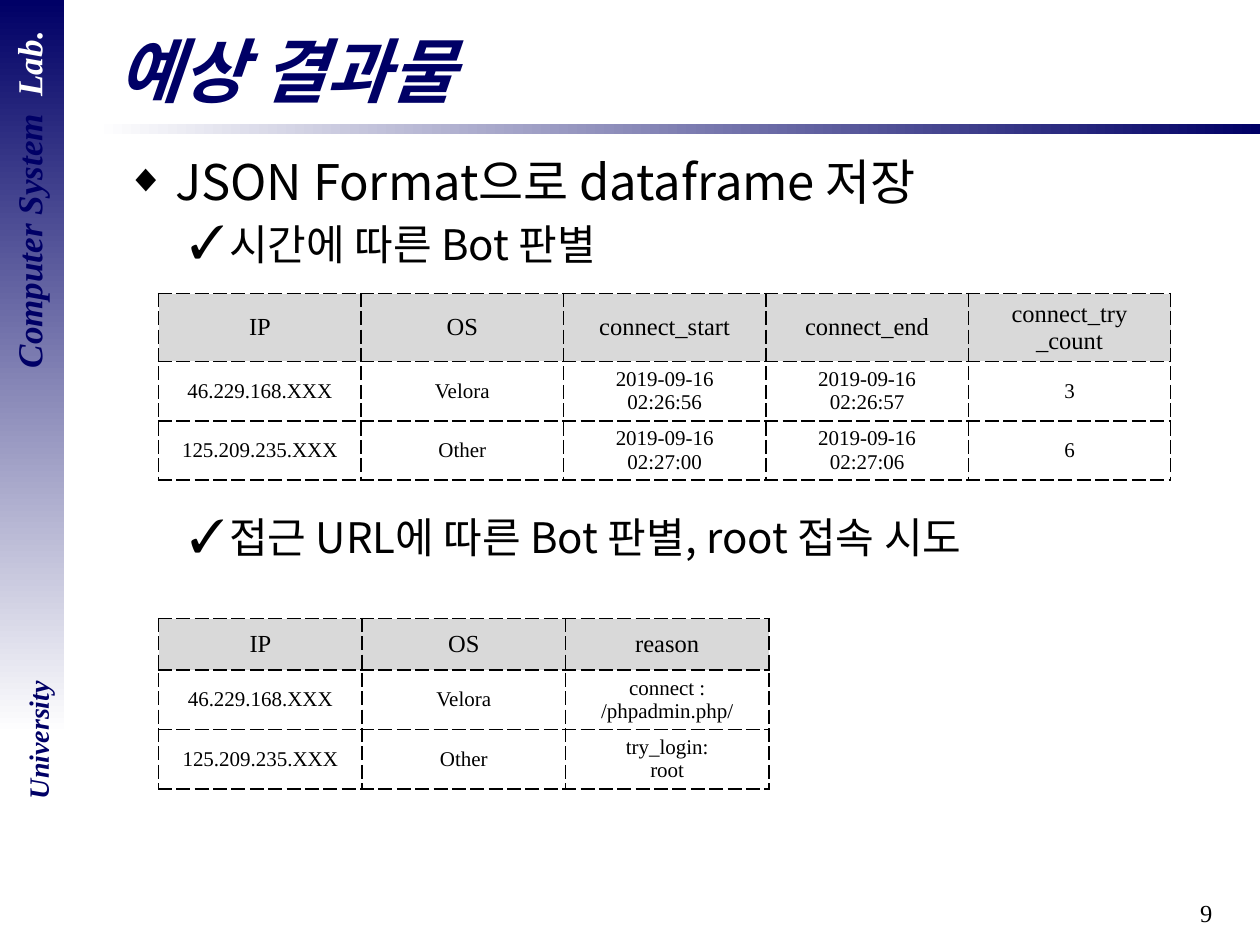
from pptx import Presentation
from pptx.dml.color import RGBColor
from pptx.enum.shapes import MSO_SHAPE
from pptx.enum.text import MSO_ANCHOR, PP_ALIGN
from pptx.oxml import parse_xml
from pptx.oxml.ns import nsdecls
from pptx.util import Cm, Pt
from lxml.etree import SubElement

# Content
TITLE = "예상 결과물"
PAGE = "9"
LAB = [("Computer System  ", "navy"), ("Lab.", "white")]
SCHOOL = "University"
POINTS = [  # text, level, space before in points
    ("JSON Format으로 dataframe 저장", 0, 5.6),
    ("시간에 따른 Bot 판별", 1, 4.8),
    ("접근 URL에 따른 Bot 판별, root 접속 시도", 1, 139),
]
TABLES = [  # top and width in cm, rows
    (5.92, 20.4, [
        ["IP", "OS", "connect_start", "connect_end", "connect_try _count"],
        ["46.229.168.XXX", "Velora", "2019-09-16 02:26:56", "2019-09-16 02:26:57", "3"],
        ["125.209.235.XXX", "Other", "2019-09-16 02:27:00", "2019-09-16 02:27:06", "6"],
    ]),
    (12.47, 12.3, [
        ["IP", "OS", "reason"],
        ["46.229.168.XXX", "Velora", "connect : /phpadmin.php/"],
        ["125.209.235.XXX", "Other", "try_login:\nroot"],
    ]),
]

# Colours, fonts and type sizes
THEME = {
    "navy": "000066", "white": "FFFFFF", "black": "000000", "grey": "D9D9D9",
    "sans": "Noto Sans CJK KR", "serif": "Times New Roman",
    "title": 40, "points": [28, 24], "lab": 20, "school": 16,
    "page": 14, "head": 14, "cell": 12,
}
# Bullet mark, size in percent, left margin and hanging indent in cm
MARKS = [("◆", 80, 0.97, 0.97), ("✓", 110, 2.06, 0.79)]
LEFT, ROW, PAD = 3.2, 1.04, 0.09


def tint(name):
    return RGBColor.from_string(THEME[name])


def write(para, text, size=12, font="serif", color="black", bold=False,
          italic=False, align=PP_ALIGN.LEFT):
    """Fill a paragraph with a string, or with (string, colour) runs."""
    para.alignment = align
    for part, hue in [(text, color)] if isinstance(text, str) else text:
        run = para.add_run()
        run.text = part
        face = run.font
        face.size, face.name = Pt(size), THEME[font]
        face.bold, face.italic = bold, italic
        face.color.rgb = tint(hue)
        east = SubElement(face._element, face._element.tag.replace("rPr", "ea"))
        east.set("typeface", THEME[font])


def frame(slide, box, turn=0, anchor=MSO_ANCHOR.TOP):
    shape = slide.shapes.add_textbox(*map(Cm, box))
    shape.rotation = turn
    shape.text_frame.word_wrap = True
    shape.text_frame.vertical_anchor = anchor
    return shape.text_frame


def fade(slide, box, first, last, turn=0):
    bar = slide.shapes.add_shape(MSO_SHAPE.RECTANGLE, *map(Cm, box))
    bar.rotation = turn
    bar.shadow.inherit = False
    bar.line.fill.background()
    bar.fill.gradient()
    bar.fill.gradient_angle = 0
    for stop, hue, place in zip(bar.fill.gradient_stops, (first, last), (0, 1)):
        stop.color.rgb = tint(hue)
        stop.position = place


def mark(para, level):
    sign, scale, margin, hang = MARKS[level]
    props = para._p.get_or_add_pPr()
    props.set("marL", str(Cm(margin)))
    props.set("indent", str(-Cm(hang)))
    for xml in (f'<a:buSzPct {nsdecls("a")} val="{scale * 1000}"/>',
                f'<a:buFont {nsdecls("a")} typeface="{THEME["serif"]}"/>',
                f'<a:buChar {nsdecls("a")} char="{sign}"/>'):
        props.append(parse_xml(xml))


def edge(cell):
    props = cell._tc.get_or_add_tcPr()
    for spot, side in enumerate("LRTB"):
        props.insert(spot, parse_xml(
            f'<a:ln{side} {nsdecls("a")} w="{Pt(1)}"><a:solidFill>'
            f'<a:srgbClr val="{THEME["black"]}"/></a:solidFill>'
            f'<a:prstDash val="sysDash"/></a:ln{side}>'))


def grid(slide, top, width, rows):
    count = len(rows[0])
    table = slide.shapes.add_table(len(rows), count, Cm(LEFT), Cm(top),
                                   Cm(width), Cm(ROW * len(rows))).table
    for col in table.columns:
        col.width = Cm(width / count)
    for r, row in enumerate(rows):
        for c, text in enumerate(row):
            cell = table.cell(r, c)
            cell.vertical_anchor = MSO_ANCHOR.MIDDLE
            cell.margin_top = cell.margin_bottom = Cm(PAD)
            cell.fill.solid()
            cell.fill.fore_color.rgb = tint("white" if r else "grey")
            edge(cell)
            body = cell.text_frame
            for n, line in enumerate(text.split("\n")):
                para = body.add_paragraph() if n else body.paragraphs[0]
                write(para, line, size=THEME["cell" if r else "head"],
                      align=PP_ALIGN.CENTER)


def main():
    deck = Presentation()
    deck.slide_width, deck.slide_height = Cm(25.4), Cm(19.05)
    slide = deck.slides.add_slide(deck.slide_layouts[6])

    # Title rule, page number and side band
    fade(slide, (1.91, 2.51, 23.49, 0.2), "white", "navy")
    page = frame(slide, (19.41, 17.98, 5.28, 1.07))
    write(page.paragraphs[0], PAGE, size=THEME["page"], align=PP_ALIGN.RIGHT)
    fade(slide, (-6.76, 6.76, 14.81, 1.3), "navy", "white", turn=90)
    for text, box, size in ((LAB, (-3.33, 3.48, 7.8, 1.09), "lab"),
                            (SCHOOL, (-1.04, 14.45, 3.61, 0.94), "school")):
        side = frame(slide, box, turn=270)
        write(side.paragraphs[0], text, size=THEME[size], color="navy",
              bold=True, italic=True, align=PP_ALIGN.CENTER)

    # Bullet points
    body = frame(slide, (2.31, 2.92, 22.2, 15.7))
    for n, (text, level, gap) in enumerate(POINTS):
        para = body.add_paragraph() if n else body.paragraphs[0]
        para.level = level
        para.space_before = Pt(gap)
        mark(para, level)
        write(para, text, size=THEME["points"][level], font="sans")

    # Title
    head = frame(slide, (2.11, 0.43, 22.61, 1.96), anchor=MSO_ANCHOR.MIDDLE)
    write(head.paragraphs[0], TITLE, size=THEME["title"], font="sans",
          color="navy", bold=True, italic=True)

    # Result tables
    for top, width, rows in TABLES:
        grid(slide, top, width, rows)

    deck.save("out.pptx")


if __name__ == "__main__":
    main()
